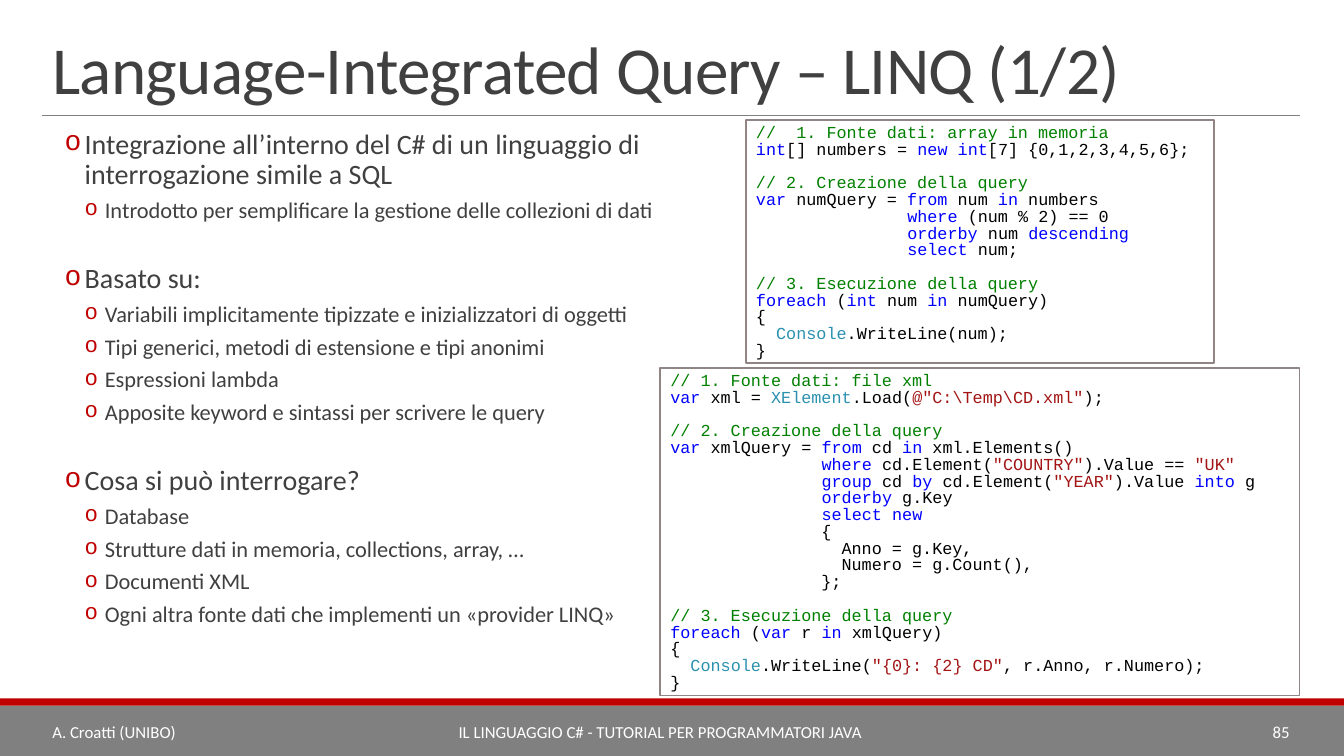
"""Build the slide on LINQ with its outline and two code boxes."""
from itertools import groupby

from lxml import etree
from pptx import Presentation
from pptx.dml.color import RGBColor
from pptx.enum import shapes, text
from pptx.oxml import ns
from pptx.util import Inches, Pt

TITLE = "Language-Integrated Query – LINQ (1/2)"
TOPICS = [
    ("Integrazione all’interno del C# di un linguaggio di interrogazione simile a SQL",
     ["Introdotto per semplificare la gestione delle collezioni di dati"]),
    ("Basato su:",
     ["Variabili implicitamente tipizzate e inizializzatori di oggetti",
      "Tipi generici, metodi di estensione e tipi anonimi",
      "Espressioni lambda",
      "Apposite keyword e sintassi per scrivere le query"]),
    ("Cosa si può interrogare?",
     ["Database",
      "Strutture dati in memoria, collections, array, …",
      "Documenti XML",
      "Ogni altra fonte dati che implementi un «provider LINQ»"]),
]
ARRAY = """//  1. Fonte dati: array in memoria
int[] numbers = new int[7] {0,1,2,3,4,5,6};

// 2. Creazione della query
var numQuery = from num in numbers
               where (num % 2) == 0
               orderby num descending
               select num;

// 3. Esecuzione della query
foreach (int num in numQuery)
{
  Console.WriteLine(num);
}"""
XML = r"""// 1. Fonte dati: file xml
var xml = XElement.Load(@"C:\Temp\CD.xml");

// 2. Creazione della query
var xmlQuery = from cd in xml.Elements()
               where cd.Element("COUNTRY").Value == "UK"
               group cd by cd.Element("YEAR").Value into g
               orderby g.Key
               select new
               {
                 Anno = g.Key,
                 Numero = g.Count(),
               };

// 3. Esecuzione della query
foreach (var r in xmlQuery)
{
  Console.WriteLine("{0}: {2} CD", r.Anno, r.Numero);
}"""
CODES = [(ARRAY, (7.4, 1.19, 4.64, 2.41)), (XML, (6.55, 3.65, 6.34, 3.25))]
KEYS = set("int new var from in where orderby descending select foreach group by into".split())
TYPES = {"Console", "XElement"}
FOOTER = [
    ("A. Croatti (UNIBO)", 1.85, text.PP_ALIGN.LEFT),
    ("IL LINGUAGGIO C# - TUTORIAL PER PROGRAMMATORI JAVA", 8.56, text.PP_ALIGN.CENTER),
    ("85", 2.06, text.PP_ALIGN.RIGHT),
]
LEFT, RIGHT = 0.42, 12.89
GREY, RED, DARK, BLACK, WHITE = "808080", "C00000", "404040", "000000", "FFFFFF"
GREEN, BLUE, TEAL, BROWN = "008000", "0000FF", "2B91AF", "A31515"


def rgb(code):
    return RGBColor.from_string(code)


def write(para, words, size=12, font="Calibri", color=WHITE):
    run = para.add_run()
    run.text = words
    run.font.size = Pt(size)
    run.font.name = font
    run.font.color.rgb = rgb(color)
    return run


def place(shape, left, top, width, height):
    shape.left, shape.top = Inches(left), Inches(top)
    shape.width, shape.height = Inches(width), Inches(height)


def setup(frame, anchor, insets=(0.1, 0.05, 0.1, 0.05)):
    frame.word_wrap = True
    frame.auto_size = text.MSO_AUTO_SIZE.NONE
    frame.vertical_anchor = anchor
    (frame.margin_left, frame.margin_top,
     frame.margin_right, frame.margin_bottom) = map(Inches, insets)


def add_para(frame, first):
    return frame.paragraphs[0] if first else frame.add_paragraph()


def bullet(para, indent):
    props = para._p.get_or_add_pPr()
    props.set("marL", str(Inches(indent)))
    props.set("indent", str(Inches(-0.2)))
    tint = etree.SubElement(props, ns.qn("a:buClr"))
    etree.SubElement(tint, ns.qn("a:srgbClr"), val=RED)
    etree.SubElement(props, ns.qn("a:buFont"), typeface="Courier New")
    etree.SubElement(props, ns.qn("a:buChar"), char="o")


def box(slide, area, fill, line=None):
    shape = slide.shapes.add_shape(shapes.MSO_SHAPE.RECTANGLE, *map(Inches, area))
    shape.shadow.inherit = False
    shape.fill.solid()
    shape.fill.fore_color.rgb = rgb(fill)
    if line:
        shape.line.color.rgb = rgb(line)
        shape.line.width = Pt(1.25)
    else:
        shape.line.fill.background()
    return shape


def tokens(line):
    """Yield each piece of a code line with its colour."""
    if line.startswith("//"):
        yield line, GREEN
        return
    for i, part in enumerate(line.split('"')):
        if i % 2:
            yield f'"{part}"', BROWN
            continue
        for _, chars in groupby(part, lambda c: "word" if c.isalnum() else c == "@"):
            word = "".join(chars)
            yield word, (BLUE if word in KEYS else TEAL if word in TYPES
                         else BROWN if word == "@" else BLACK)


def add_code(slide, code, area):
    frame = box(slide, area, WHITE, "918485").text_frame
    setup(frame, text.MSO_ANCHOR.TOP, (0.1, 0.05, 0.1, 0))
    for i, block in enumerate(code.split("\n\n")):
        for j, line in enumerate(block.split("\n")):
            para = add_para(frame, i + j == 0)
            para.alignment = text.PP_ALIGN.LEFT
            para.line_spacing = Pt(12)
            para.space_before = Pt(12 if i and not j else 0)
            para.space_after = Pt(0)
            for color, group in groupby(tokens(line), lambda t: t[1]):
                write(para, "".join(t[0] for t in group), font="Courier New", color=color)


def add_topics(frame):
    setup(frame, text.MSO_ANCHOR.TOP, (0, 0.05, 0, 0.05))
    for i, (head, items) in enumerate(TOPICS):
        for j, words in enumerate([head, *items]):
            para = add_para(frame, i + j == 0)
            para.level = 1 if j else 0
            para.line_spacing = 0.9
            para.space_before = Pt(2 if j else 25.6 if i else 0)
            para.space_after = Pt(4)
            bullet(para, 0.62 if j else 0.42)
            write(para, words, size=16 if j else 20, color=DARK)


def main():
    deck = Presentation()
    deck.slide_width, deck.slide_height = Inches(13.33), Inches(7.5)
    slide = deck.slides.add_slide(deck.slide_layouts[1])
    title, body = slide.placeholders

    box(slide, (0, 7, 13.33, 0.5), GREY)
    box(slide, (0, 6.93, 13.33, 0.07), RED)
    rule = slide.shapes.add_connector(
        shapes.MSO_CONNECTOR.STRAIGHT, *map(Inches, (LEFT, 1.14, RIGHT, 1.14)))
    rule.line.color.rgb = rgb(GREY)
    rule.line.width = Pt(0.5)
    etree.SubElement(rule._element.spPr, ns.qn("a:effectLst"))

    place(title, LEFT, 0.31, RIGHT - LEFT, 0.81)
    setup(title.text_frame, text.MSO_ANCHOR.BOTTOM)
    para = title.text_frame.paragraphs[0]
    para.alignment = text.PP_ALIGN.LEFT
    para.line_spacing = 0.85
    run = write(para, TITLE, size=48, color=DARK)
    run.font._element.set("spc", "-50")

    place(body, LEFT, 1.24, 6.73, 5.16)
    add_topics(body.text_frame)
    for code, area in CODES:
        add_code(slide, code, area)

    left = LEFT
    for words, width, align in FOOTER:
        note = slide.shapes.add_textbox(*map(Inches, (left, 7.06, width, 0.4)))
        setup(note.text_frame, text.MSO_ANCHOR.MIDDLE)
        para = note.text_frame.paragraphs[0]
        para.alignment = align
        write(para, words)
        left += width
    deck.save("out.pptx")


if __name__ == "__main__":
    main()
